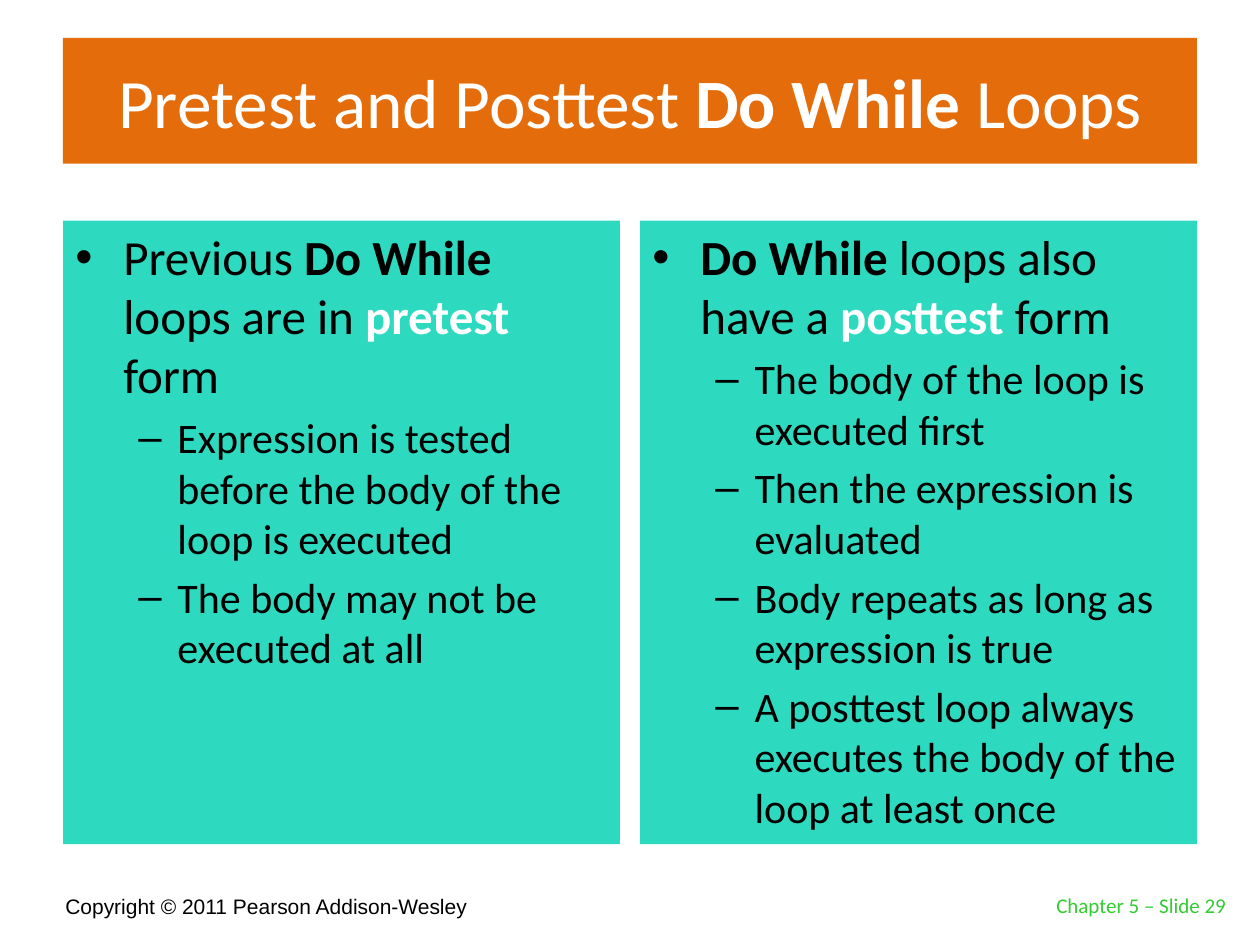
import pptx
import pptx.dml.color
import pptx.enum.shapes
import pptx.enum.text
import pptx.oxml
import pptx.oxml.ns
import pptx.util

Inches, Pt = pptx.util.Inches, pptx.util.Pt
ALIGN, ANCHOR = pptx.enum.text.PP_ALIGN, pptx.enum.text.MSO_ANCHOR
BLACK, WHITE, ORANGE, TEAL, GREEN = "000000", "FFFFFF", "E46C0A", "2DD9BF", "33CC33"

# Content: a run is (text, bold, colour), a bullet is (level, runs)
TITLE = [("Pretest and Posttest ", False, WHITE), ("Do While ", True, WHITE),
         ("Loops", False, WHITE)]
COLUMNS = [
    [
        (0, [("Previous ", False, BLACK), ("Do While", True, BLACK),
             (" loops are in ", False, BLACK), ("pretest", True, WHITE),
             (" form", False, BLACK)]),
        (1, [("Expression is tested before the body of the loop is executed", False, BLACK)]),
        (1, [("The body may not be executed at all", False, BLACK)]),
    ],
    [
        (0, [("Do While", True, BLACK), (" loops also have a ", False, BLACK),
             ("posttest", True, WHITE), (" form", False, BLACK)]),
        (1, [("The body of the loop is executed first", False, BLACK)]),
        (1, [("Then the expression is evaluated", False, BLACK)]),
        (1, [("Body repeats as long as expression is true", False, BLACK)]),
        (1, [("A posttest loop always executes the body of the loop at least once",
              False, BLACK)]),
    ],
]
COPYRIGHT = [("Copyright © 2011 Pearson Addison-Wesley", False, BLACK)]
SLIDE_LABEL = [("Chapter 5 – Slide 29", False, GREEN)]

# Bullet levels: symbol, size, left margin, hanging indent
LEVELS = [("•", 28, 0.38, -0.38), ("–", 24, 0.81, -0.31)]

MARGIN, CONTENT_WIDTH, COLUMN_WIDTH = 0.5, 9, 4.42
COLUMN_TOP, COLUMN_HEIGHT = 1.75, 4.95


def color(value):
    return pptx.dml.color.RGBColor.from_string(value)


def add_runs(paragraph, runs, size, font="Calibri"):
    for text, bold, run_color in runs:
        run = paragraph.add_run()
        run.text = text
        run.font.name, run.font.size, run.font.bold = font, Pt(size), bold
        run.font.color.rgb = color(run_color)


def add_panel(slide, left, top, width, height, fill, anchor):
    panel = slide.shapes.add_shape(pptx.enum.shapes.MSO_SHAPE.RECTANGLE, Inches(left),
                                   Inches(top), Inches(width), Inches(height))
    panel.shadow.inherit = False
    panel.fill.solid()
    panel.fill.fore_color.rgb = color(fill)
    panel.line.fill.background()
    panel.text_frame.word_wrap = True
    panel.text_frame.vertical_anchor = anchor
    return panel.text_frame


def add_footer(slide, left, top, width, height, runs, align, font):
    footer = slide.shapes.add_textbox(Inches(left), Inches(top), Inches(width),
                                      Inches(height)).text_frame
    footer.word_wrap = True
    footer.vertical_anchor = ANCHOR.BOTTOM
    footer.paragraphs[0].alignment = align
    add_runs(footer.paragraphs[0], runs, 12, font)


def add_bullets(frame, bullets):
    for i, (level, runs) in enumerate(bullets):
        symbol, size, margin, indent = LEVELS[level]
        bullet = frame.add_paragraph() if i else frame.paragraphs[0]
        bullet.level = level
        bullet.alignment = ALIGN.LEFT
        if i:
            bullet.space_before = Pt(size * 0.2)
        properties = bullet._p.get_or_add_pPr()
        properties.set("marL", str(Inches(margin)))
        properties.set("indent", str(Inches(indent)))
        ns = pptx.oxml.ns.nsdecls("a")
        properties.append(pptx.oxml.parse_xml(f'<a:buFont {ns} typeface="Arial"/>'))
        properties.append(pptx.oxml.parse_xml(f'<a:buChar {ns} char="{symbol}"/>'))
        add_runs(bullet, runs, size)


def main():
    deck = pptx.Presentation()
    deck.slide_width, deck.slide_height = Inches(10), Inches(7.5)
    slide = deck.slides.add_slide(deck.slide_layouts[6])

    # Title band
    title = add_panel(slide, MARGIN, 0.3, CONTENT_WIDTH, 1, ORANGE, ANCHOR.MIDDLE)
    title.paragraphs[0].alignment = ALIGN.CENTER
    add_runs(title.paragraphs[0], TITLE, 39.6)

    # Two columns, flush with both ends of the title band
    step = CONTENT_WIDTH - COLUMN_WIDTH
    for i, bullets in enumerate(COLUMNS):
        column = add_panel(slide, MARGIN + i * step, COLUMN_TOP, COLUMN_WIDTH,
                           COLUMN_HEIGHT, TEAL, ANCHOR.TOP)
        add_bullets(column, bullets)

    # Footer
    add_footer(slide, 0.42, 6.92, 6.08, 0.42, COPYRIGHT, ALIGN.LEFT, "Arial")
    add_footer(slide, 7.75, 6.83, 2.08, 0.5, SLIDE_LABEL, ALIGN.RIGHT, "Calibri")

    deck.save("out.pptx")


if __name__ == "__main__":
    main()
